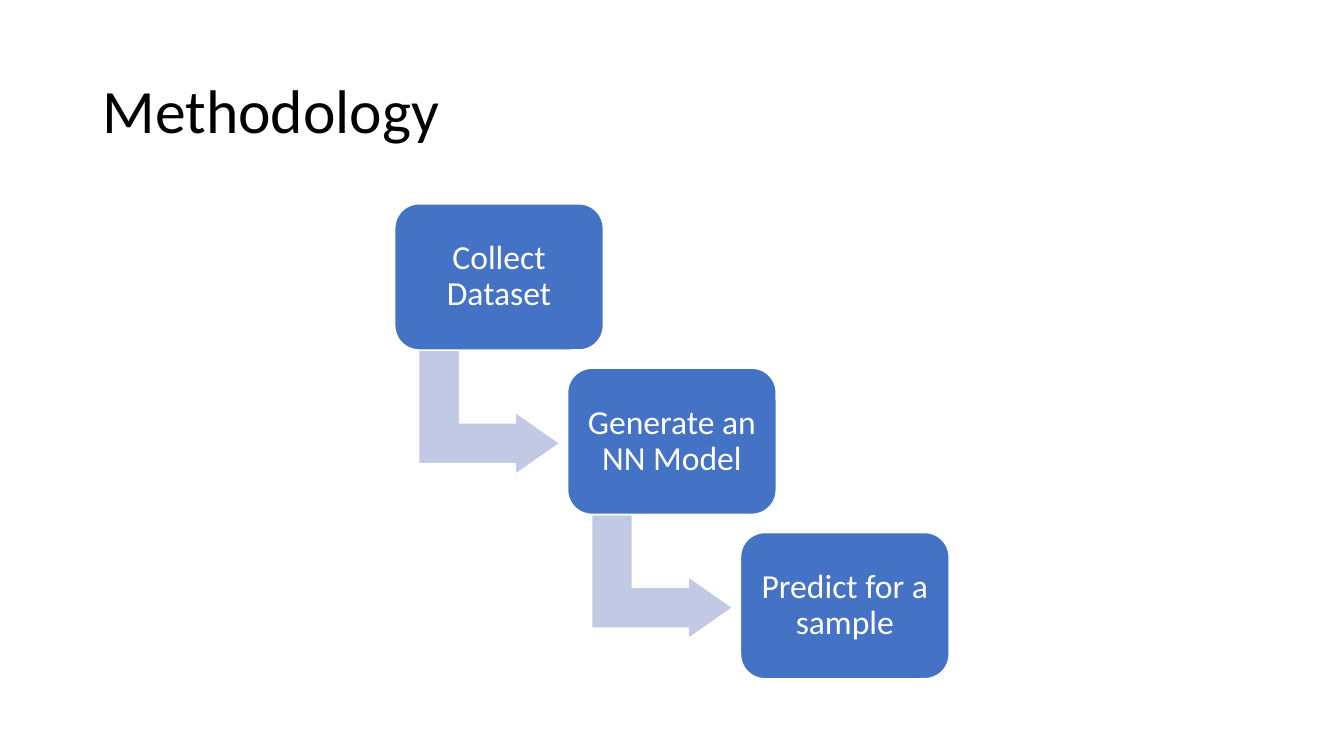
from pptx import Presentation
from pptx.dml.color import RGBColor
from pptx.enum.shapes import MSO_SHAPE
from pptx.enum.text import MSO_ANCHOR, PP_ALIGN
from pptx.util import Pt

ROUNDED_BOX = MSO_SHAPE.ROUNDED_RECTANGLE
BENT_ARROW = MSO_SHAPE.BENT_UP_ARROW
MIDDLE = MSO_ANCHOR.MIDDLE
LEFT, CENTER = PP_ALIGN.LEFT, PP_ALIGN.CENTER

# Content
HEADING = "Methodology"
STEPS = ["Collect Dataset", "Generate an NN Model", "Predict for a sample"]

THEME = {
    "font": "Calibri",
    "heading_size": 44,
    "step_size": 24,
    "heading": "000000",
    "step_text": "FFFFFF",
    "step": "4472C4",
    "arrow": "C1C9E4",
    "outline": "FFFFFF",
}

# Layout in points
SLIDE_W, SLIDE_H = 960, 540
HEADING_BOX = (66, 28.75, 828, 104.4)
FIRST_X, FIRST_Y = 282, 145.6
STEP_W, STEP_H = 149, 104.4
STRIDE_X, STRIDE_Y = 123.5, 117.4
ARROW_DX, ARROW_DY = 23.2, 98.5
ARROW_W, ARROW_H = 88.6, 100.8
STEP_ROUNDING = [0.167]
ARROW_BENDS = [0.328, 0.25, 0.358]


def write(holder, text, *, size, color, align):
    frame = holder.text_frame
    frame.word_wrap = True
    frame.vertical_anchor = MIDDLE
    paragraph = frame.paragraphs[0]
    paragraph.alignment = align
    paragraph.line_spacing = 0.9
    run = paragraph.add_run()
    run.text = text
    run.font.name = THEME["font"]
    run.font.size = Pt(size)
    run.font.color.rgb = RGBColor.from_string(color)


def add_block(slide, kind, x, y, w, h, fill, bends):
    block = slide.shapes.add_shape(kind, Pt(x), Pt(y), Pt(w), Pt(h))
    block.shadow.inherit = False
    block.fill.solid()
    block.fill.fore_color.rgb = RGBColor.from_string(fill)
    block.line.color.rgb = RGBColor.from_string(THEME["outline"])
    block.line.width = Pt(1)
    for index, bend in enumerate(bends):
        block.adjustments[index] = bend
    return block


def main():
    deck = Presentation()
    deck.slide_width, deck.slide_height = Pt(SLIDE_W), Pt(SLIDE_H)
    slide = deck.slides.add_slide(deck.slide_layouts[5])

    # Heading
    heading = slide.shapes.title
    heading.left, heading.top, heading.width, heading.height = map(Pt, HEADING_BOX)
    write(heading, HEADING, size=THEME["heading_size"],
          color=THEME["heading"], align=LEFT)

    # Descending steps, each but the last with an arrow to the next
    for index, label in enumerate(STEPS):
        x, y = FIRST_X + index * STRIDE_X, FIRST_Y + index * STRIDE_Y
        if index < len(STEPS) - 1:
            arrow = add_block(slide, BENT_ARROW, x + ARROW_DX, y + ARROW_DY,
                              ARROW_W, ARROW_H, THEME["arrow"], ARROW_BENDS)
            arrow.rotation = 90
        step = add_block(slide, ROUNDED_BOX, x, y, STEP_W, STEP_H,
                         THEME["step"], STEP_ROUNDING)
        frame = step.text_frame
        frame.margin_left = frame.margin_right = Pt(7.2)
        frame.margin_top = frame.margin_bottom = Pt(7.2)
        write(step, label, size=THEME["step_size"],
              color=THEME["step_text"], align=CENTER)

    deck.save("out.pptx")


if __name__ == "__main__":
    main()
